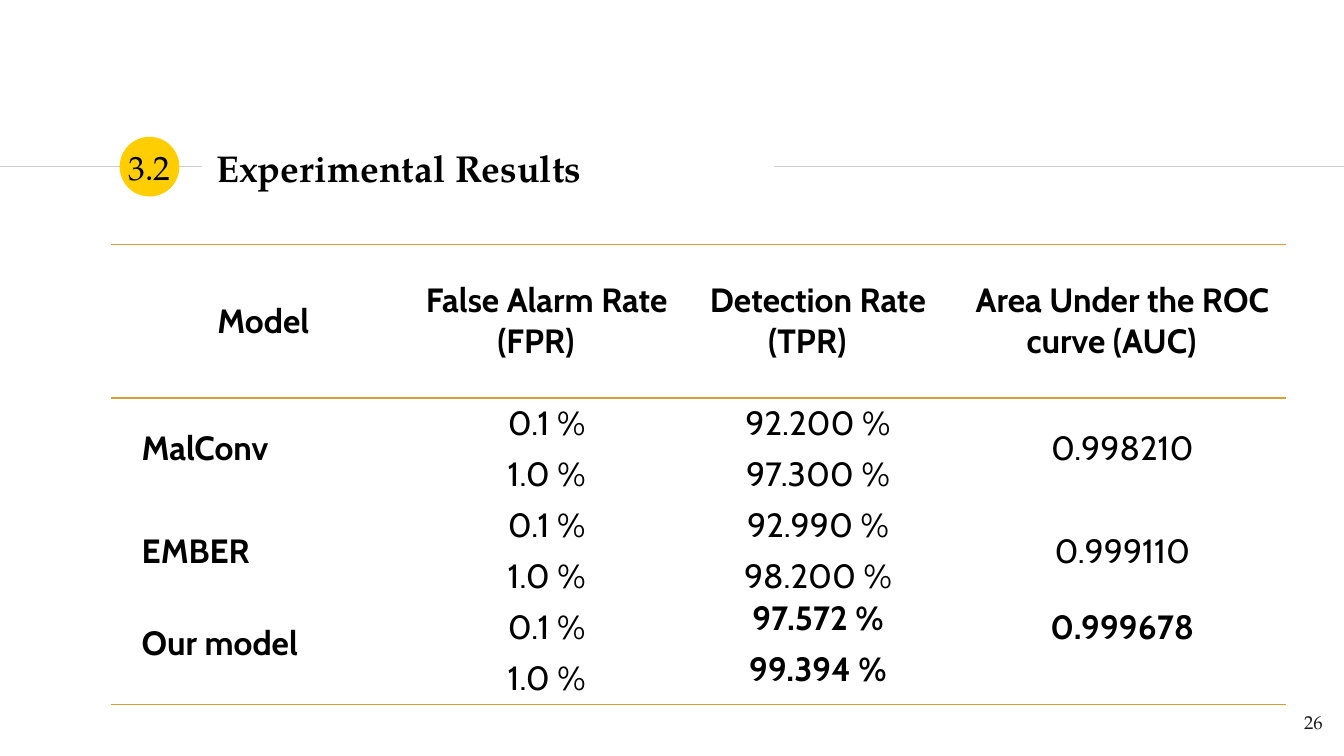
from dataclasses import dataclass
from typing import Optional

from lxml import etree
from pptx import Presentation
from pptx.dml.color import RGBColor
from pptx.enum import shapes, text
from pptx.oxml import ns
from pptx.util import Pt

COLORS = {"ink": "000000", "page": "1D1D1B", "rule": "CCCCCC", "badge": "FFCD00", "border": "D89F39"}
SERIF, SANS = "TeX Gyre Pagella", "Cabin"
LEFT, CENTER, RIGHT = text.PP_ALIGN.LEFT, text.PP_ALIGN.CENTER, text.PP_ALIGN.RIGHT
NO_STYLE = "{2D5ABB26-0587-4C30-8999-92F81FD0307C}"


@dataclass(frozen=True)
class Box:
    left: float
    top: float
    width: float
    height: float

    def lengths(self) -> tuple:
        return Pt(self.left), Pt(self.top), Pt(self.width), Pt(self.height)


@dataclass(frozen=True)
class Rule:
    start: float
    end: float
    y: float = 89.3


@dataclass(frozen=True)
class Model:
    name: str
    detection: tuple[str, str]
    auc: str
    best: bool = False


RULES = [Rule(0, 108), Rule(414.7, 720)]
BADGE = Box(64.1, 73.3, 32, 32)
BADGE_NUMBER = Box(58.9, 67.7, 42.5, 43.9)
TITLE = Box(108.7, 72.7, 305.3, 34.6)
PAGE_NUMBER = Box(672.5, 373.7, 43.2, 31)
RESULTS = Box(59.4, 130.9, 629.7, 246.6)
COLUMN_WIDTHS = [151.8, 151.8, 138.9, 187.2]
HEADER_HEIGHT, ROW_HEIGHT = 82.2, 27.4
HEADERS = ["Model", "False Alarm Rate (FPR)", "Detection Rate (TPR)", "Area Under the ROC curve (AUC)"]
ALARM_RATES = ("0.1 %", "1.0 %")
MODELS = [
    Model("MalConv", ("92.200 %", "97.300 %"), "0.998210"),
    Model("EMBER", ("92.990 %", "98.200 %"), "0.999110"),
    Model("Our model", ("97.572 %", "99.394 %"), "0.999678", best=True),
]


def write(frame, words: str, *, size: float = 18, font: str = SERIF, color: str = "ink",
          bold: bool = False, align=LEFT, indent: float = 0, spacing: Optional[float] = None) -> None:
    paragraph = frame.paragraphs[0]
    paragraph.alignment = align
    if indent:
        properties = paragraph._p.get_or_add_pPr()
        properties.set("marL", "0")
        properties.set("indent", str(Pt(indent)))
    if spacing:
        paragraph.line_spacing = Pt(spacing)
    run = paragraph.add_run()
    run.text = words
    run.font.size, run.font.name, run.font.bold = Pt(size), font, bold
    run.font.color.rgb = RGBColor.from_string(COLORS[color])


def set_frame(frame, anchor) -> None:
    frame.word_wrap = True
    frame.auto_size = text.MSO_AUTO_SIZE.NONE
    frame.vertical_anchor = anchor
    frame.margin_left = frame.margin_right = frame.margin_top = frame.margin_bottom = Pt(7.2)


def add_label(slide, box: Box, words: str, anchor, **style) -> None:
    frame = slide.shapes.add_textbox(*box.lengths()).text_frame
    set_frame(frame, anchor)
    write(frame, words, **style)


def add_title(slide, box: Box, words: str) -> None:
    title = slide.shapes.title
    title.left, title.top, title.width, title.height = box.lengths()
    set_frame(title.text_frame, text.MSO_ANCHOR.MIDDLE)
    write(title.text_frame, words, size=20, bold=True)


def add_rule(slide, rule: Rule) -> None:
    line = slide.shapes.add_connector(
        shapes.MSO_CONNECTOR.STRAIGHT, Pt(rule.start), Pt(rule.y), Pt(rule.end), Pt(rule.y))
    line.line.color.rgb = RGBColor.from_string(COLORS["rule"])
    line.line.width = Pt(0.75)
    etree.SubElement(line._element.spPr, ns.qn("a:effectLst"))


def add_badge(slide, box: Box) -> None:
    badge = slide.shapes.add_shape(shapes.MSO_SHAPE.OVAL, *box.lengths())
    badge.shadow.inherit = False
    badge.fill.solid()
    badge.fill.fore_color.rgb = RGBColor.from_string(COLORS["badge"])
    badge.line.fill.background()


def format_cell(cell, *edges: str) -> None:
    """Clear the fill, set the margins and draw the named edges ("T", "B")."""
    properties = cell._tc.get_or_add_tcPr()
    for edge in edges:
        line = etree.SubElement(properties, ns.qn(f"a:ln{edge}"), w=str(Pt(1)))
        fill = etree.SubElement(line, ns.qn("a:solidFill"))
        etree.SubElement(fill, ns.qn("a:srgbClr"), val=COLORS["border"])
    cell.fill.background()
    cell.vertical_anchor = text.MSO_ANCHOR.MIDDLE
    cell.margin_left = cell.margin_right = Pt(5)
    cell.margin_top = cell.margin_bottom = 0


def fill_cell(cell, words: str, **style) -> None:
    write(cell.text_frame, words, **{"font": SANS, "align": CENTER, "indent": 11.5, **style})


def add_results(slide, box: Box) -> None:
    last = len(MODELS) * len(ALARM_RATES)
    frame = slide.shapes.add_table(last + 1, len(HEADERS), *box.lengths())
    table = frame.table
    table._tbl.tblPr.find(ns.qn("a:tableStyleId")).text = NO_STYLE
    table.first_row = table.horz_banding = False
    for column, width in zip(table.columns, COLUMN_WIDTHS):
        column.width = Pt(width)
    for number, row in enumerate(table.rows):
        row.height = Pt(ROW_HEIGHT if number else HEADER_HEIGHT)
        edges = {0: "TB", last: "B"}.get(number, "")
        for cell in row.cells:
            format_cell(cell, *edges)
    for column, header in enumerate(HEADERS):
        fill_cell(table.cell(0, column), header, bold=True)

    for index, model in enumerate(MODELS):
        top = 1 + index * len(ALARM_RATES)
        tight = 12 if model.best else None
        for column in [0] if model.best else [0, 3]:
            table.cell(top, column).merge(table.cell(top + 1, column))
        fill_cell(table.cell(top, 0), model.name, bold=True, align=LEFT, spacing=tight)
        fill_cell(table.cell(top, 3), model.auc, bold=model.best)
        for offset, (alarm, detection) in enumerate(zip(ALARM_RATES, model.detection)):
            fill_cell(table.cell(top + offset, 1), alarm)
            fill_cell(table.cell(top + offset, 2), detection, bold=model.best, spacing=tight)
    format_cell(table.cell(last - 1, 0), "B")


def main() -> None:
    deck = Presentation()
    deck.slide_width, deck.slide_height = Pt(720), Pt(405)
    slide = deck.slides.add_slide(deck.slide_layouts[5])
    for rule in RULES:
        add_rule(slide, rule)
    add_badge(slide, BADGE)
    add_title(slide, TITLE, "Experimental Results")
    add_label(slide, PAGE_NUMBER, "26", text.MSO_ANCHOR.TOP, size=10, color="page", align=RIGHT)
    add_label(slide, BADGE_NUMBER, "3.2", text.MSO_ANCHOR.MIDDLE, align=CENTER)
    add_results(slide, RESULTS)
    deck.save("out.pptx")


if __name__ == "__main__":
    main()
